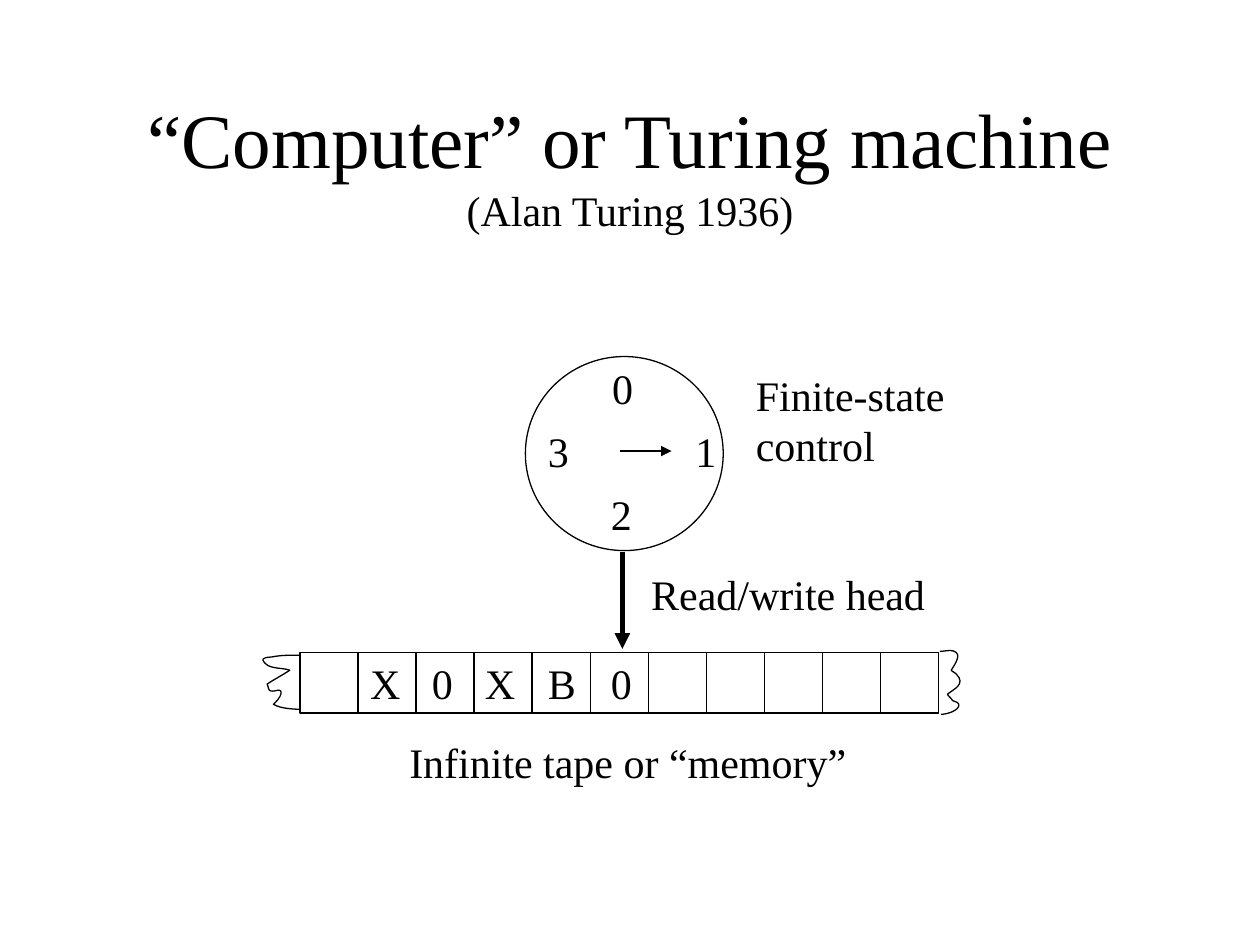
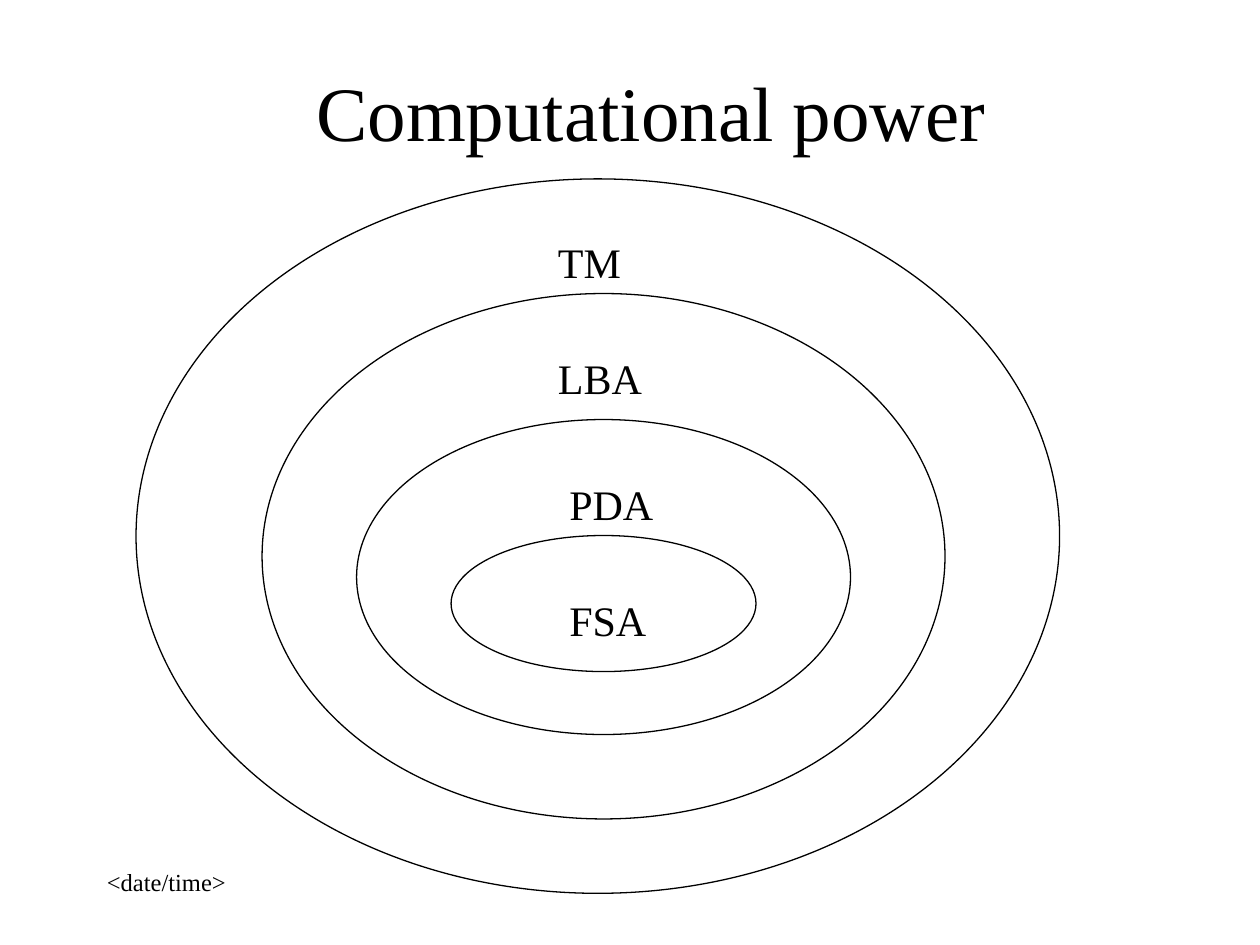
from lxml.etree import SubElement
from pptx import Presentation
from pptx.dml.color import RGBColor
from pptx.enum.shapes import MSO_CONNECTOR as Connector, MSO_SHAPE as Shape
from pptx.enum.text import MSO_ANCHOR as Anchor, PP_ALIGN as Align
from pptx.oxml.ns import qn
from pptx.util import Inches, Pt

FONT = "Times New Roman"
BLACK = "000000"
WHITE = "FFFFFF"
THIN = 0.74
TITLE_SIZE = 44
BODY_SIZE = 24
DATE_SIZE = 14

TAPE_LEFT, TAPE_TOP, TAPE_WIDTH, TAPE_HEIGHT = 2.38, 5.18, 5.07, 0.48
CELL_COUNT = 11

RIGHT_EDGE = [
    (7.46, 5.17),
    (7.5, 5.17), (7.56, 5.15), (7.59, 5.18),
    (7.63, 5.21), (7.56, 5.3), (7.55, 5.32),
    (7.56, 5.33), (7.58, 5.34), (7.59, 5.35),
    (7.67, 5.43), (7.57, 5.47), (7.52, 5.51),
    (7.53, 5.53), (7.55, 5.54), (7.56, 5.56),
    (7.58, 5.57), (7.6, 5.57), (7.61, 5.59),
    (7.62, 5.64), (7.51, 5.67), (7.47, 5.67),
]
LEFT_EDGE = [
    (2.38, 5.2),
    (2.31, 5.2), (2.25, 5.2), (2.18, 5.21),
    (2.15, 5.22), (2.12, 5.21), (2.09, 5.23),
    (2.08, 5.24), (2.1, 5.26), (2.11, 5.27),
    (2.15, 5.31), (2.25, 5.3), (2.3, 5.32),
    (2.24, 5.36), (2.18, 5.39), (2.12, 5.43),
    (2.13, 5.45), (2.13, 5.47), (2.14, 5.48),
    (2.17, 5.5), (2.22, 5.46), (2.23, 5.49),
    (2.24, 5.53), (2.17, 5.59), (2.17, 5.59),
    (2.23, 5.63), (2.38, 5.63), (2.38, 5.63),
]


def color(value):
    return RGBColor.from_string(value)


def add_span(para, text, size):
    span = para.add_run()
    span.text = text
    span.font.name = FONT
    span.font.size = Pt(size)
    span.font.color.rgb = color(BLACK)


def write(page, text, left, top, width, height=0.5, size=BODY_SIZE,
          align=Align.LEFT, anchor=Anchor.TOP, wrap=True):
    box = page.shapes.add_textbox(
        Inches(left), Inches(top), Inches(width), Inches(height))
    frame = box.text_frame
    frame.word_wrap = wrap
    frame.vertical_anchor = anchor
    for index, line in enumerate(text.split("\n")):
        para = frame.add_paragraph() if index else frame.paragraphs[0]
        para.alignment = align
        add_span(para, line, size)
    return box


def add_title(page, text, left, top, subtitle=None):
    box = write(page, text, left, top, 8.5, 1.25, size=TITLE_SIZE,
                align=Align.CENTER, anchor=Anchor.MIDDLE)
    if subtitle:
        para = box.text_frame.paragraphs[0]
        para.add_line_break()
        add_span(para, subtitle, BODY_SIZE)


def outline(shape):
    shape.shadow.inherit = False
    shape.line.color.rgb = color(BLACK)
    shape.line.width = Pt(THIN)


def add_outlined(page, kind, left, top, width, height):
    shape = page.shapes.add_shape(
        kind, Inches(left), Inches(top), Inches(width), Inches(height))
    shape.fill.solid()
    shape.fill.fore_color.rgb = color(WHITE)
    outline(shape)


def add_arrow(page, start, end, width=THIN):
    arrow = page.shapes.add_connector(
        Connector.STRAIGHT, *map(Inches, start + end))
    arrow.line.color.rgb = color(BLACK)
    arrow.line.width = Pt(width)
    properties = arrow.element.spPr
    SubElement(properties.find(qn("a:ln")), qn("a:tailEnd"), type="triangle")
    SubElement(properties, qn("a:effectLst"))


def curve_points(controls, steps=8):
    points = []
    for index in range(0, len(controls) - 1, 3):
        curve = controls[index:index + 4]
        for step in range(1, steps + 1):
            t = step / steps
            weights = ((1 - t) ** 3, 3 * t * (1 - t) ** 2,
                       3 * t ** 2 * (1 - t), t ** 3)
            points.append(tuple(
                Inches(sum(w * point[axis] for w, point in zip(weights, curve)))
                for axis in (0, 1)))
    return points


def add_torn_edge(page, controls):
    builder = page.shapes.build_freeform(*map(Inches, controls[0]))
    builder.add_line_segments(curve_points(controls), close=False)
    edge = builder.convert_to_shape()
    edge.fill.background()
    outline(edge)


def add_tape(page):
    cell = TAPE_WIDTH / CELL_COUNT
    for index in range(CELL_COUNT):
        add_outlined(page, Shape.RECTANGLE, TAPE_LEFT + index * cell, TAPE_TOP,
                     cell, TAPE_HEIGHT)
    add_torn_edge(page, RIGHT_EDGE)
    add_torn_edge(page, LEFT_EDGE)
    for symbol, left, width in (("X", 2.84, 0.44), ("0", 3.33, 0.36),
                                ("X", 3.75, 0.44), ("B", 4.25, 0.42),
                                ("0", 4.75, 0.36)):
        write(page, symbol, left, 5.17, width, wrap=False)


def add_control(page):
    add_outlined(page, Shape.OVAL, 4.17, 2.83, 1.57, 1.54)
    add_arrow(page, (4.94, 4.38), (4.94, 5.15), width=3)
    for state, left, top in (("0", 4.76, 2.83), ("1", 5.42, 3.33),
                             ("2", 4.75, 3.83), ("3", 4.25, 3.33)):
        write(page, state, left, top, 0.36, wrap=False)
    add_arrow(page, (4.92, 3.58), (5.33, 3.58))


def build_turing_machine(page):
    add_title(page, "“Computer” or Turing machine", 0.75, 0.67,
              subtitle="(Alan Turing 1936)")
    add_tape(page)
    add_control(page)
    write(page, "Finite-state\ncontrol", 5.9, 2.88, 1.8, 0.9)
    write(page, "Infinite tape or “memory”", 3.15, 5.8, 3.8)
    write(page, "Read/write head", 5.07, 4.46, 2.5)


def build_power(page):
    write(page, "<date/time>", 0.75, 6.83, 2.08, size=DATE_SIZE)
    add_title(page, "Computational power", 0.92, 0.25)
    for ring in ((1.08, 1.42, 7.33, 5.67), (2.08, 2.33, 5.42, 4.17),
                 (2.83, 3.33, 3.92, 2.5), (3.58, 4.25, 2.42, 1.08)):
        add_outlined(page, Shape.OVAL, *ring)
    for label, left, top in (("FSA", 4.42, 4.67), ("PDA", 4.42, 3.75),
                             ("LBA", 4.33, 2.75), ("TM", 4.33, 1.83)):
        write(page, label, left, top, 1.3)


def main():
    deck = Presentation()
    deck.slide_width = Inches(10)
    deck.slide_height = Inches(7.5)
    for build in (build_turing_machine, build_power):
        build(deck.slides.add_slide(deck.slide_layouts[6]))
    deck.save("out.pptx")


main()
